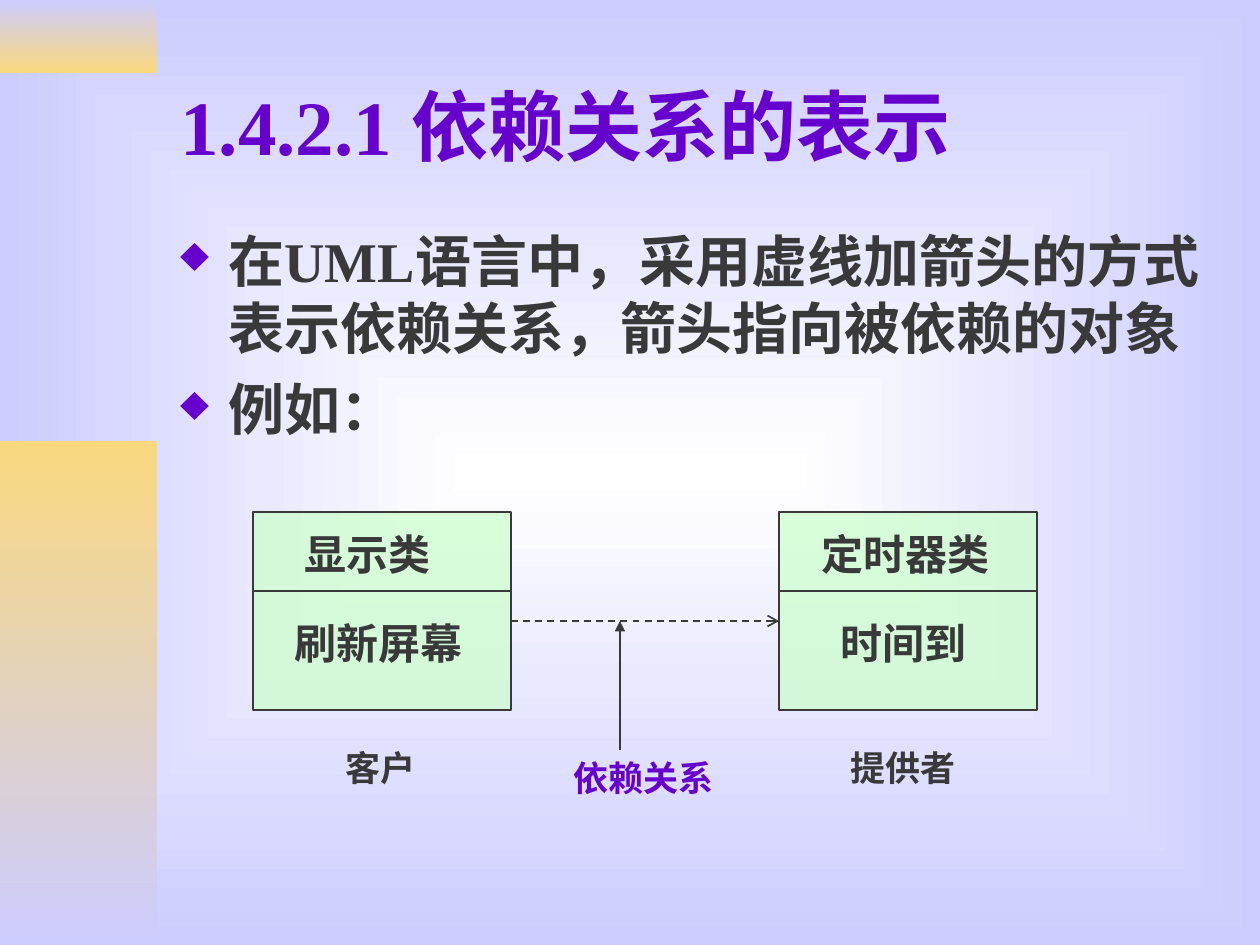
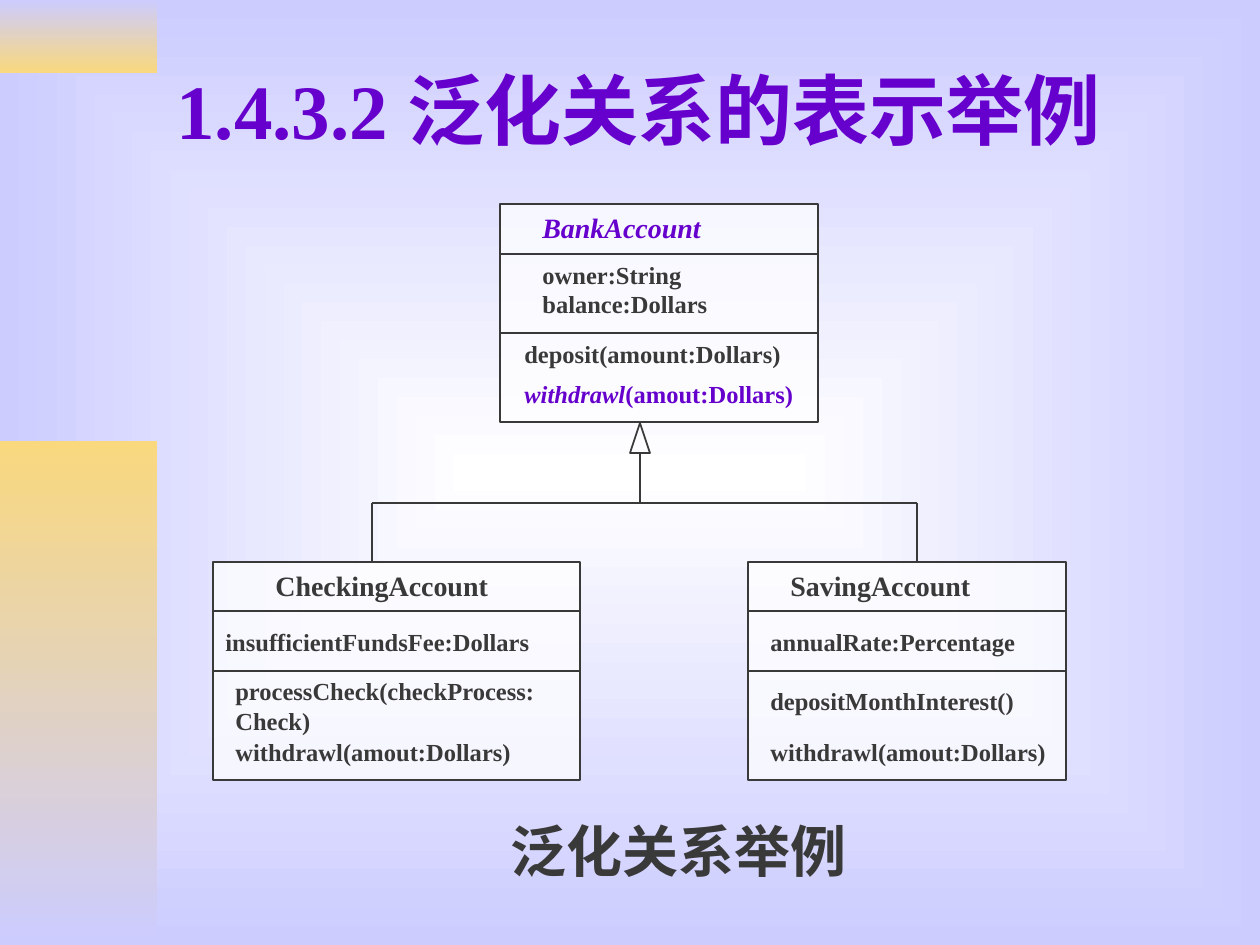
from lxml import etree
from pptx import Presentation
from pptx import util as u
from pptx.dml.color import RGBColor
from pptx.enum import dml, shapes, text
from pptx.oxml.ns import qn

PX = 914400 / 126
FONT = "Times New Roman"
INK, PURPLE, LAVENDER, GOLD = "393939", "6600CC", "CCCCFF", "F9D87E"
WHITE, MINT = "FFFFFF", "CCFFCC"
LINE_HEIGHTS = {14: 43, 16: 47, 20: 55, 24: 63}


def px(*lengths):
    """Turn pixel lengths into EMU."""
    return [u.Emu(round(length * PX)) for length in lengths]


def colour(value):
    """Turn a hex string into a colour."""
    return RGBColor.from_string(value)


def add_child(parent, tag, **attributes):
    """Append a DrawingML element and return it."""
    child = etree.SubElement(parent, qn(tag))
    for name, value in attributes.items():
        child.set(name, str(value))
    return child


def set_gradient(fill, start, end):
    """Fill from top to bottom with two colours."""
    fill.gradient()
    fill.gradient_angle = 270
    for stop, value in zip(fill.gradient_stops, (start, end)):
        stop.color.rgb = colour(value)


def set_background(master):
    """Give all slides a glow from the centre."""
    set_gradient(master.background.fill, WHITE, LAVENDER)
    linear = next(master.element.iter(qn("a:lin")))
    gradient = linear.getparent()
    gradient.remove(linear)
    glow = add_child(gradient, "a:path", path="rect")
    add_child(glow, "a:fillToRect", l=50000, t=50000, r=50000, b=50000)


def add_run(paragraph, wording, size, ink=INK, italic=False):
    """Add a bold run."""
    run = paragraph.add_run()
    run.text = wording
    font = run.font
    font.name, font.size, font.bold, font.italic = FONT, u.Pt(size), True, italic
    font.color.rgb = colour(ink)


def add_text(slide, box, size, *runs):
    """Add a one-paragraph text box from (wording, ink, italic) runs."""
    shape = slide.shapes.add_textbox(*px(*box))
    shape.text_frame.word_wrap = True
    for run in runs:
        add_run(shape.text_frame.paragraphs[0], run[0], size, *run[1:])
    return shape.text_frame


def add_shape(slide, kind, box):
    """Add a preset shape with a thin dark outline."""
    shape = slide.shapes.add_shape(kind, *px(*box))
    shape.shadow.inherit = False
    shape.line.color.rgb = colour(INK)
    shape.line.width = u.Pt(1)
    return shape


def add_line(slide, start, end, head=None, dashed=False):
    """Draw a thin straight line, with an arrowhead at its end if named."""
    line = slide.shapes.add_connector(shapes.MSO_CONNECTOR.STRAIGHT, *px(*start, *end))
    line.line.color.rgb = colour(INK)
    line.line.width = u.Pt(1)
    if dashed:
        line.line.dash_style = dml.MSO_LINE.DASH
    if head:
        add_child(line.line._get_or_add_ln(), "a:tailEnd", type=head)
    add_child(line.element.spPr, "a:effectLst")


def add_page(presentation, title, left, top):
    """Add a slide with side bands and a title."""
    slide = presentation.slides.add_slide(presentation.slide_layouts[6])
    for box, start, end in (
        ((0, 0, 157, 73), LAVENDER, GOLD),
        ((0, 441, 157, 504), GOLD, LAVENDER),
    ):
        band = add_shape(slide, shapes.MSO_SHAPE.RECTANGLE, box)
        set_gradient(band.fill, start, end)
        band.line.fill.background()
    frame = add_text(slide, (left, top, 1071, 166), 44, (title, PURPLE))
    frame.vertical_anchor = text.MSO_ANCHOR.MIDDLE
    return slide


def add_bullets(slide, box, items):
    """Add a list with diamond bullets."""
    frame = add_text(slide, box, 32)
    for index, item in enumerate(items):
        paragraph = frame.add_paragraph() if index else frame.paragraphs[0]
        properties = paragraph._p.get_or_add_pPr()
        properties.set("marL", str(u.Inches(0.38)))
        properties.set("indent", str(-u.Inches(0.38)))
        add_child(add_child(properties, "a:buClr"), "a:srgbClr", val=PURPLE)
        add_child(properties, "a:buSzPct", val=90000)
        add_child(properties, "a:buChar", char="♦")
        if index:
            paragraph.space_before = u.Pt(8)
        add_run(paragraph, item, 32)


def add_class(slide, box, fill, dividers, labels):
    """Draw a class box; each label is (x, y, width, size, runs) inside it."""
    left, top, width, _ = box
    frame = add_shape(slide, shapes.MSO_SHAPE.RECTANGLE, box)
    frame.fill.solid()
    frame.fill.fore_color.rgb = colour(fill)
    solid = frame.element.spPr.find(qn("a:solidFill"))
    add_child(solid[0], "a:alpha", val=73000)
    for y in dividers:
        add_line(slide, (left, top + y), (left + width, top + y))
    for x, y, label_width, size, *runs in labels:
        label_box = (left + x, top + y, label_width, LINE_HEIGHTS[size])
        add_text(slide, label_box, size, *runs)


def add_dependency(slide, left, top):
    """Draw two classes, the dashed dependency between them and its label."""
    width, height, step = 258, 198, 526
    classes = (
        ((39, 199, "显示类"), (29, 199, "刷新屏幕"), (80, 110, "客户")),
        ((30, 198, "定时器类"), (49, 169, "时间到"), (59, 149, "提供者")),
    )
    rows = ((10, 24), (99, 24), (228, 20))
    for index, names in enumerate(classes):
        labels = [
            (x, y, label_width, size, (name,))
            for (x, label_width, name), (y, size) in zip(names, rows)
        ]
        box = (left + index * step, top, width, height)
        add_class(slide, box, MINT, (79,), labels)
    level, pointer = top + 109, left + 367
    add_line(slide, (left + width, level), (left + step, level), "arrow", True)
    add_line(slide, (pointer, level + 129), (pointer, level), "triangle")
    add_text(slide, (pointer - 59, level + 129, 199, 55), 20, ("依赖关系", PURPLE))


def add_inheritance(slide, apex, top):
    """Draw the branch that joins two subclasses to their parent."""
    bus, bottom = top + 80, top + 139
    branches = (apex - 268, apex + 277)
    triangle_box = (apex - 10, top, 20, 30)
    triangle = add_shape(slide, shapes.MSO_SHAPE.ISOSCELES_TRIANGLE, triangle_box)
    triangle.fill.background()
    add_line(slide, (apex, top + 30), (apex, bus))
    add_line(slide, (branches[0], bus), (branches[1], bus))
    for x in branches:
        add_line(slide, (x, bus), (x, bottom))


def add_accounts(slide):
    """Draw the account classes."""
    height = 218
    add_class(slide, (500, 204, 318, height), WHITE, (50, 129), (
        (30, 0, 198, 16, ("BankAccount", PURPLE, True)),
        (30, 50, 198, 14, ("owner:String",)),
        (30, 79, 198, 14, ("balance:Dollars",)),
        (12, 129, 287, 14, ("deposit(amount:Dollars)",)),
        (12, 169, 307, 14, ("withdrawl", PURPLE, True), ("(amout:Dollars)", PURPLE)),
    ))
    withdrawal = (10, 169, 307, 14, ("withdrawl(amout:Dollars)",))
    subclasses = (
        (213, 367, (
            (50, 0, 248, 16, ("CheckingAccount",)),
            (0, 59, 338, 14, ("insufficientFundsFee:Dollars",)),
            (10, 108, 338, 14, ("processCheck(checkProcess:Check)",)),
        )),
        (748, 318, (
            (30, 0, 228, 16, ("SavingAccount",)),
            (10, 59, 277, 14, ("annualRate:Percentage",)),
            (10, 118, 287, 14, ("depositMonthInterest()",)),
        )),
    )
    for left, width, labels in subclasses:
        box = (left, 562, width, height)
        add_class(slide, box, WHITE, (49, 109), (*labels, withdrawal))
    add_inheritance(slide, 640, 423)


def main():
    """Build and save the presentation."""
    presentation = Presentation()
    presentation.slide_width, presentation.slide_height = px(1260, 945)
    set_background(presentation.slide_master)

    slide = add_page(presentation, "1.4.2.1 依赖关系的表示", 168, 42)
    add_bullets(slide, (168, 220, 1071, 242), (
        "在UML语言中，采用虚线加箭头的方式表示依赖关系，箭头指向被依赖的对象",
        "例如：",
    ))
    add_dependency(slide, 253, 512)

    slide = add_page(presentation, "1.4.3.2 泛化关系的表示举例", 164, 26)
    add_accounts(slide)
    caption = add_text(slide, (213, 810, 932, 103), 32, ("泛化关系举例",))
    caption.paragraphs[0].alignment = text.PP_ALIGN.CENTER

    presentation.save("out.pptx")


if __name__ == "__main__":
    main()
